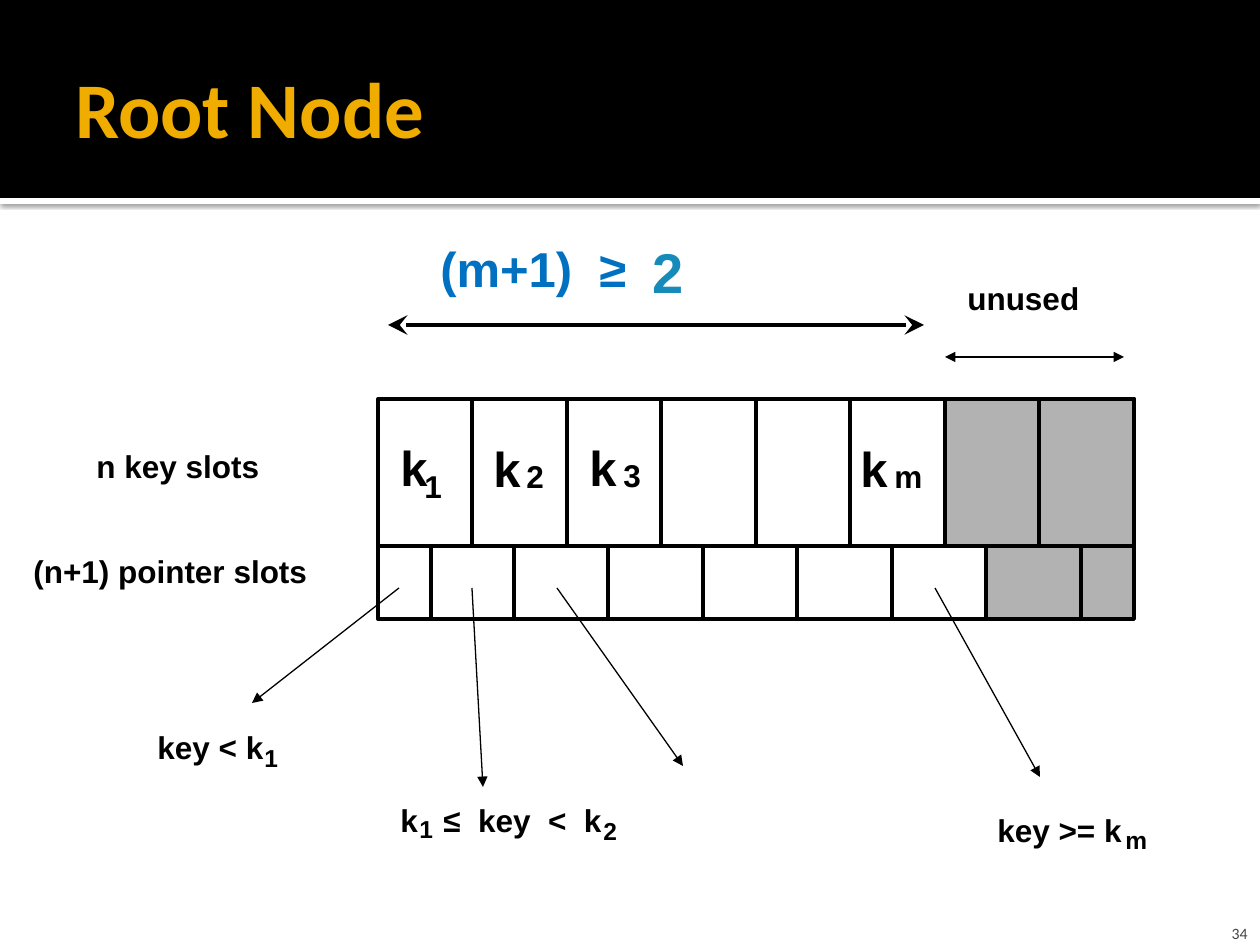
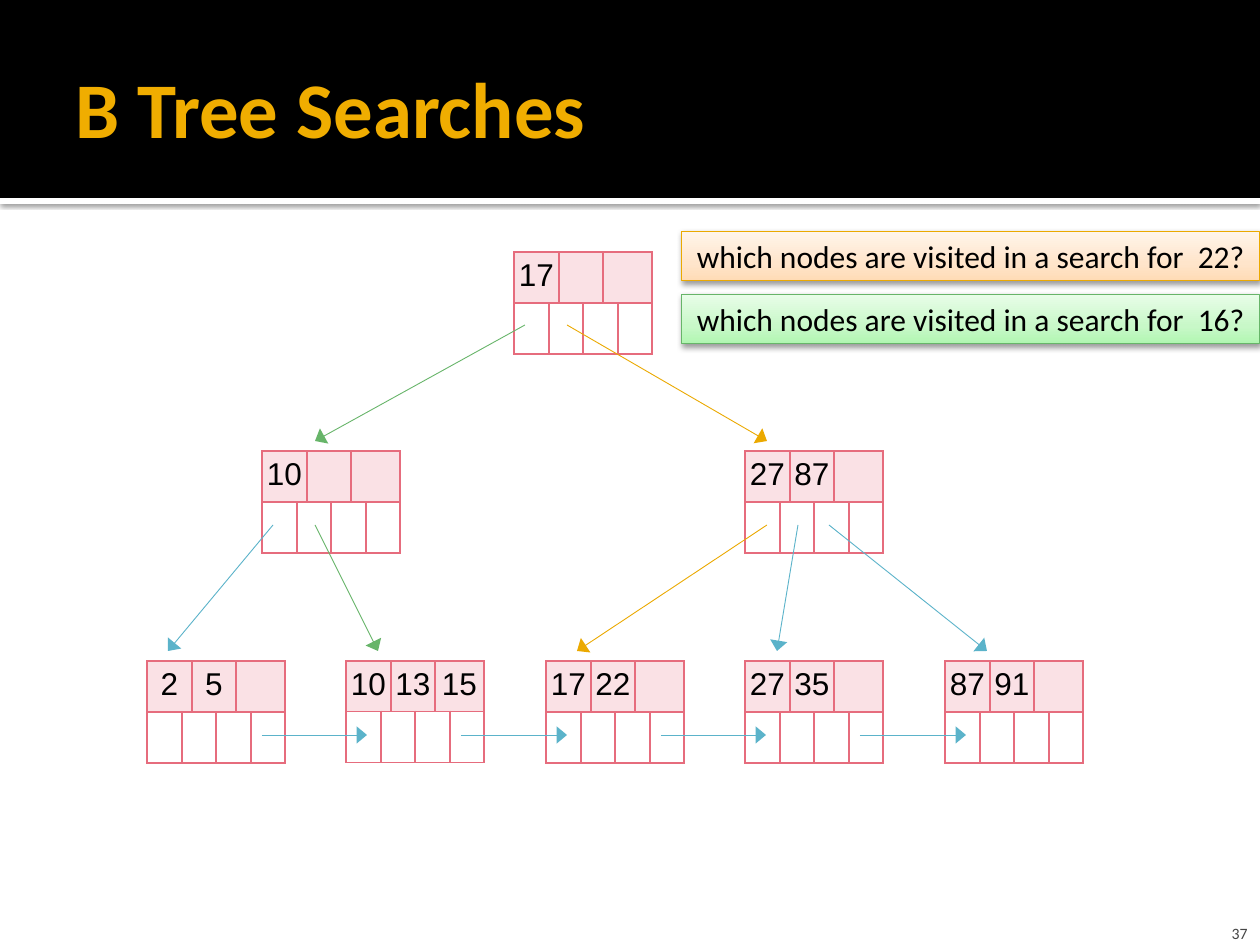
from typing import NamedTuple

from lxml.etree import SubElement
from pptx import Presentation
from pptx.dml.color import RGBColor
from pptx.enum.shapes import MSO_CONNECTOR, MSO_SHAPE
from pptx.enum.text import MSO_ANCHOR, PP_ALIGN
from pptx.oxml.ns import qn
from pptx.util import Emu, Inches, Pt

SCALE = 914400 / 126
BLACK, WHITE, GOLD, GREY = "000000", "FFFFFF", "F0AD00", "B2B2B2"
ROSE, AQUA, AMBER, GREEN = "E66C7D", "5BB3CA", "EBA900", "67B569"
SANS, BODY = "Arial", "Calibri"
HIGH = {14: 43, 18: 63, 28: 72, 32: 79}


class Label(NamedTuple):
    """A bold one-line text on the root node slide."""
    text: str
    x: int
    y: int
    w: int
    size: int = 18
    tone: str = BLACK


class Arrow(NamedTuple):
    """A line with heads; w and long are the head sizes."""
    x1: int
    y1: int
    x2: int
    y2: int
    tone: str = BLACK
    width: float = 0.75
    tail: str = "triangle"
    head: str = ""
    w: str = "med"
    long: str = "med"


class Node(NamedTuple):
    """A tree node: its place and its keys."""
    x: int
    y: int
    keys: tuple


class Query(NamedTuple):
    """A question box with its gradient stops."""
    y: int
    text: str
    line: str
    stops: tuple


def px(n: float) -> Emu:
    """Turn pixels into EMU."""
    return Emu(round(n * SCALE))


def rgb(tone: str) -> RGBColor:
    """Turn a hex string into a colour."""
    return RGBColor.from_string(tone)


def write(frame, text: str, size: float, font: str, tone: str = BLACK,
          bold: bool = False, align=PP_ALIGN.LEFT) -> None:
    """Put one styled run into the first paragraph."""
    para = frame.paragraphs[0]
    para.alignment = align
    run = para.add_run()
    run.text = text
    run.font.size = Pt(size)
    run.font.name = font
    run.font.bold = bold
    run.font.color.rgb = rgb(tone)


def text_box(slide, x: int, y: int, w: int, h: int, wrap: bool = True):
    """Add a text box and return its frame."""
    frame = slide.shapes.add_textbox(px(x), px(y), px(w), px(h)).text_frame
    frame.word_wrap = wrap
    return frame


def rect(slide, x: int, y: int, w: int, h: int, fill: str = "",
         line: str = "", width: float = 2.25):
    """Add a rectangle; an empty colour means none."""
    box = slide.shapes.add_shape(MSO_SHAPE.RECTANGLE, px(x), px(y), px(w), px(h))
    box.shadow.inherit = False
    if fill:
        box.fill.solid()
        box.fill.fore_color.rgb = rgb(fill)
    else:
        box.fill.background()
    if line:
        box.line.color.rgb = rgb(line)
        box.line.width = Pt(width)
    else:
        box.line.fill.background()
    return box


def shade(box, alpha: int, blur: float, dist: float) -> None:
    """Give a shape a soft shadow that falls straight down."""
    effect = box._element.spPr.find(qn("a:effectLst"))
    drop = SubElement(effect, qn("a:outerShdw"), blurRad=str(Pt(blur)),
                      dist=str(Pt(dist)), dir="5400000", rotWithShape="0")
    tone = SubElement(drop, qn("a:srgbClr"), val=BLACK)
    SubElement(tone, qn("a:alpha"), val=str(alpha * 1000))


def draw(slide, arrow: Arrow) -> None:
    """Draw a line with its arrowheads."""
    line = slide.shapes.add_connector(
        MSO_CONNECTOR.STRAIGHT, px(arrow.x1), px(arrow.y1),
        px(arrow.x2), px(arrow.y2))
    line.line.color.rgb = rgb(arrow.tone)
    line.line.width = Pt(arrow.width)
    props = line._element.spPr
    stroke = props.find(qn("a:ln"))
    for tag, kind in (("a:headEnd", arrow.head), ("a:tailEnd", arrow.tail)):
        if kind:
            SubElement(stroke, qn(tag), type=kind, w=arrow.w, len=arrow.long)
    SubElement(props, qn("a:effectLst"))


def rule(slide, x1: int, y1: int, x2: int, y2: int) -> None:
    """Draw a thick plain line of the grid."""
    draw(slide, Arrow(x1, y1, x2, y2, width=2.25, tail=""))


def start(deck, title: str, page: str):
    """Add a slide with band, title and page number."""
    slide = deck.slides.add_slide(deck.slide_layouts[6])
    shade(rect(slide, 0, 198, 1260, 6, WHITE), 60, 2.5, 0.8)
    rect(slide, 0, 0, 1260, 198, BLACK)
    frame = text_box(slide, 63, 21, 1134, 173)
    frame.vertical_anchor = MSO_ANCHOR.MIDDLE
    frame.margin_right = Inches(0.05)
    write(frame, title, 45, BODY, GOLD, True)
    frame = text_box(slide, 1159, 905, 101, 38)
    frame.vertical_anchor = MSO_ANCHOR.BOTTOM
    frame.margin_bottom = 0
    write(frame, page, 9, BODY, "454545", align=PP_ALIGN.RIGHT)
    return slide


def edge(cell) -> None:
    """Draw the four borders of a cell."""
    props = cell._tc.get_or_add_tcPr()
    for spot, side in enumerate("LRTB"):
        line = SubElement(props, qn("a:ln" + side), w=str(Pt(1)))
        fill = SubElement(line, qn("a:solidFill"))
        SubElement(fill, qn("a:srgbClr"), val=ROSE)
        props.insert(spot, line)


def plot(slide, node: Node) -> None:
    """Draw a node: three keys above four pointers."""
    cols = (35, 10, 24, 20, 15, 34)
    high = 48 if len(node.keys) == 3 else 51
    table = slide.shapes.add_table(
        2, len(cols), px(node.x), px(node.y), px(sum(cols)), px(high + 51)).table
    table.first_row = table.horz_banding = False
    for col, wide in zip(table.columns, cols):
        col.width = px(wide)
    table.rows[0].height, table.rows[1].height = px(high), px(51)
    for col in range(len(cols)):
        top, low = table.cell(0, col), table.cell(1, col)
        top.fill.solid()
        top.fill.fore_color.rgb = rgb(ROSE)
        tone = top._tc.tcPr.find(".//" + qn("a:srgbClr"))
        SubElement(tone, qn("a:alpha"), val="20000")
        low.fill.background()
        edge(top)
        edge(low)
    for row, col in ((0, 0), (0, 2), (0, 4), (1, 1), (1, 3)):
        table.cell(row, col).merge(table.cell(row, col + 1))
    for spot, key in enumerate(node.keys):
        cell = table.cell(0, 2 * spot)
        cell.margin_left = cell.margin_right = Inches(0.02)
        write(cell.text_frame, key, 18, SANS, align=PP_ALIGN.CENTER)


def ask(slide, query: Query) -> None:
    """Draw a question box with gradient and shadow."""
    box = rect(slide, 682, query.y, 578, 50, WHITE, query.line, 0.5)
    box.fill.gradient()
    box.fill.gradient_angle = 90
    stops = box._element.spPr.find(qn("a:gradFill")).find(qn("a:gsLst"))
    for old in list(stops):
        stops.remove(old)
    for spot, tone in zip((0, 35, 100), query.stops):
        stop = SubElement(stops, qn("a:gs"), pos=str(spot * 1000))
        SubElement(stop, qn("a:srgbClr"), val=tone)
    shade(box, 38, 3.5, 2)
    box.text_frame.word_wrap = True
    box.text_frame.vertical_anchor = MSO_ANCHOR.TOP
    write(box.text_frame, query.text, 18, BODY, align=PP_ALIGN.CENTER)


LABELS = (
    Label("n key slots", 84, 441, 197),
    Label("(n+1) pointer slots", 21, 546, 331),
    Label("k", 388, 431, 48, 28), Label("1", 412, 461, 45),
    Label("k", 481, 432, 48, 28), Label("2", 514, 451, 45),
    Label("k", 577, 431, 48, 28), Label("3", 611, 450, 45),
    Label("k", 848, 432, 48, 28), Label("m", 882, 451, 58),
    Label("key < k", 145, 722, 159), Label("1", 252, 737, 39, 14),
    Label("k", 388, 795, 43), Label("1", 407, 808, 39, 14),
    Label("≤  key  <  k", 431, 795, 185), Label("2", 591, 810, 39, 14),
    Label("key >= k", 985, 805, 151), Label("m", 1113, 819, 48, 14),
    Label("unused", 955, 273, 141),
    Label("(m+1)  ≥", 428, 232, 214, 28, "0070C0"),
    Label("2", 640, 231, 52, 32, "168BBA"),
)
LINKS = (
    Arrow(399, 588, 252, 703), Arrow(472, 588, 483, 787),
    Arrow(557, 588, 683, 766), Arrow(935, 588, 1040, 777),
    Arrow(945, 357, 1124, 357, head="triangle"),
    Arrow(388, 325, 924, 325, BLACK, 2.25, "stealth", "stealth", "lg", "lg"),
)
NODES = (
    Node(514, 252, ("17",)),
    Node(262, 451, ("10",)), Node(745, 451, ("27", "87")),
    Node(147, 661, ("2", "5")), Node(346, 661, ("10", "13", "15")),
    Node(546, 661, ("17", "22")), Node(745, 661, ("27", "35")),
    Node(945, 661, ("87", "91")),
)
PATHS = (
    (273, 525, 168, 651, AQUA), (798, 525, 777, 651, AQUA),
    (829, 525, 987, 651, AQUA), (567, 325, 767, 441, AMBER),
    (767, 525, 577, 651, AMBER), (525, 325, 315, 441, GREEN),
    (315, 525, 378, 651, GREEN),
)
QUERIES = (
    Query(231, "which nodes are visited in a search for  22?", AMBER,
          ("FFDBB5", "FFE5CB", "FFF5EB")),
    Query(294, "which nodes are visited in a search for  16?", GREEN,
          ("B0F6B1", "C8F8C8", "E9FDE9")),
)


def root(deck) -> None:
    """Build the slide on the root node."""
    slide = start(deck, "Root Node", "34")
    left, right, top, mid, low = 378, 1134, 399, 546, 619
    keys = [left + i * 189 // 2 for i in range(9)]
    slots = [left, 431] + [514 + i * 189 // 2 for i in range(7)] + [right]
    for x in keys[1:-1]:
        rule(slide, x, top, x, mid)
    for x in slots[1:-1]:
        rule(slide, x, mid, x, low)
    rect(slide, left, top, right - left, low - top, line=BLACK)
    rule(slide, left, mid, right, mid)
    for marks, y, end in ((keys, top, mid), (slots, mid, low)):
        for x, after in zip(marks[-3:-1], marks[-2:]):
            rect(slide, x, y, after - x, end - y, GREY, BLACK)
    for item in LABELS:
        frame = text_box(slide, item.x, item.y, item.w, HIGH[item.size], False)
        write(frame, item.text, item.size, SANS, item.tone, True)
    for link in LINKS:
        draw(slide, link)


def tree(deck) -> None:
    """Build the slide on searches in the tree."""
    slide = start(deck, "B Tree Searches", "37")
    for node in NODES:
        plot(slide, node)
    leaves = NODES[3:]
    chain = [(one.x + 115, 735, two.x + 21, 735, AQUA)
             for one, two in zip(leaves, leaves[1:])]
    for ends in (*chain, *PATHS):
        draw(slide, Arrow(*ends, width=0.5, w="lg"))
    for query in QUERIES:
        ask(slide, query)


deck = Presentation()
deck.slide_width, deck.slide_height = px(1260), px(945)
root(deck)
tree(deck)
deck.save("out.pptx")
